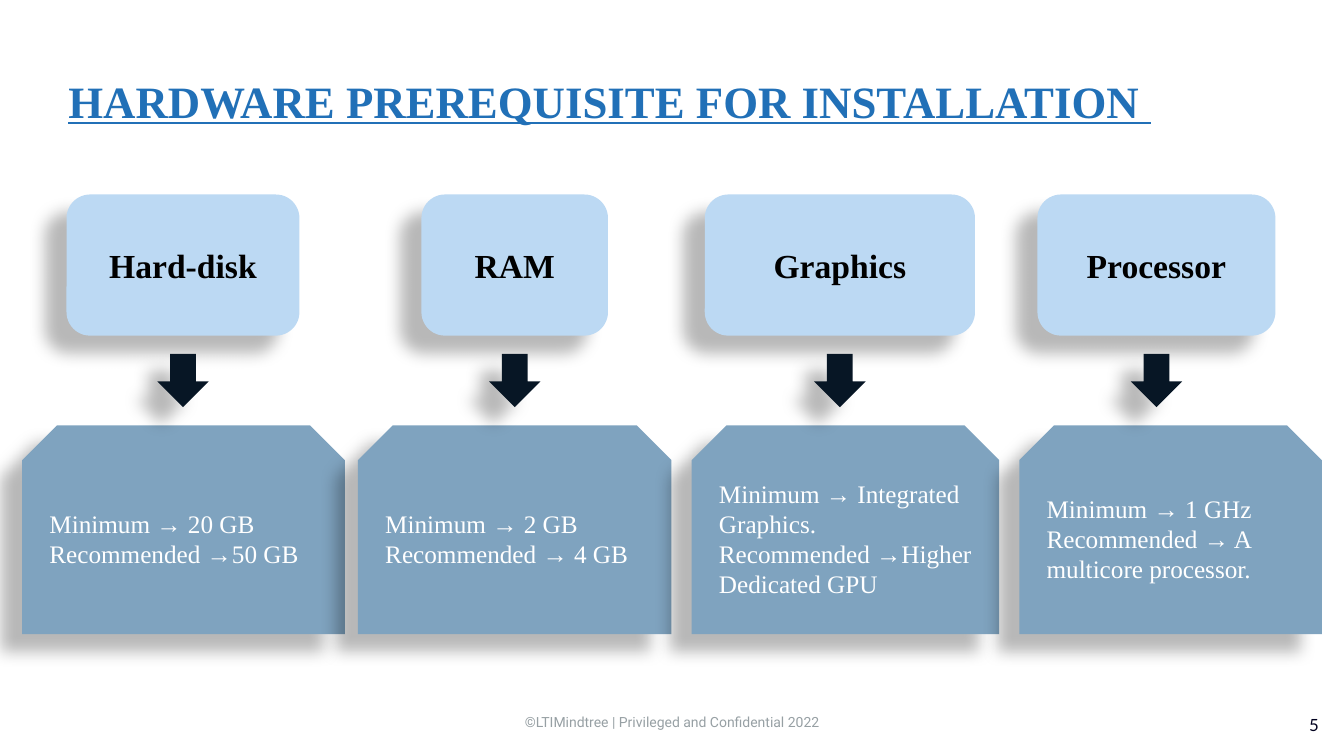
from lxml import etree
from pptx import Presentation
from pptx.dml.color import RGBColor
from pptx.enum.shapes import MSO_SHAPE
from pptx.enum.text import MSO_ANCHOR, PP_ALIGN
from pptx.oxml.ns import qn
from pptx.util import Inches, Pt

ROUNDED, SNIPPED = MSO_SHAPE.ROUNDED_RECTANGLE, MSO_SHAPE.SNIP_2_SAME_RECTANGLE
ARROW = MSO_SHAPE.DOWN_ARROW
LEFT, CENTER, RIGHT = PP_ALIGN.LEFT, PP_ALIGN.CENTER, PP_ALIGN.RIGHT
TOP, MIDDLE = MSO_ANCHOR.TOP, MSO_ANCHOR.MIDDLE

COLORS = {
    "title": "2170B7", "head": "BCD9F3", "detail": "7FA3BF", "arrow": "071625",
    "black": "000000", "white": "FFFFFF", "footer": "97A0A4", "number": "00001E",
}
SERIF = "Times New Roman"
FORMATS = {
    "title": {"size": Pt(32), "name": SERIF, "bold": True, "underline": True},
    "head": {"size": Pt(24), "name": SERIF, "bold": True},
    "detail": {"size": Pt(18), "name": SERIF},
    "footer": {"size": Pt(10), "name": "Roboto"},
    "number": {"size": Pt(12), "name": "Lato"},
}

# Rows: top and height
HEAD_ROW, ARROW_ROW, DETAIL_ROW = (1.93, 1.4), (3.51, 0.53), (4.22, 2.07)
ARROW_WIDTH = 0.51

# Component, head left and width, detail left and width, detail lines
COMPONENTS = [
    ("Hard-disk", (0.66, 2.31), (0.22, 3.2),
     ["Minimum → 20 GB", "Recommended →50 GB"]),
    ("RAM", (4.18, 1.85), (3.55, 3.11),
     ["Minimum → 2 GB", "Recommended → 4 GB"]),
    ("Graphics", (6.99, 2.68), (6.86, 3.05),
     ["Minimum → Integrated Graphics.", "Recommended →Higher Dedicated GPU"]),
    ("Processor", (10.29, 2.36), (10.11, 3),
     ["Minimum → 1 GHz", "Recommended → A multicore processor."]),
]


def color(name):
    return RGBColor.from_string(COLORS[name])


def write(s, lines, style, ink, align=LEFT, anchor=MIDDLE):
    tf = s.text_frame
    tf.word_wrap = True
    tf.vertical_anchor = anchor
    for i, line in enumerate(lines):
        p = tf.add_paragraph() if i else tf.paragraphs[0]
        p.alignment = align
        r = p.add_run()
        r.text = line
        r.font.color.rgb = color(ink)
        for name, value in FORMATS[style].items():
            setattr(r.font, name, value)


def add_text(slide, box, text, style, align=LEFT, anchor=TOP):
    s = slide.shapes.add_textbox(*map(Inches, box))
    write(s, [text], style, style, align, anchor)


def add_shadow(s):
    s.shadow.inherit = False
    effects = s._element.spPr.find(qn("a:effectLst"))
    shadow = etree.SubElement(
        effects, qn("a:outerShdw"), blurRad=str(Pt(11.8)), dist=str(Pt(19.7)),
        dir=str(141 * 60000), algn="ctr", rotWithShape="0")
    shade = etree.SubElement(shadow, qn("a:srgbClr"), val=COLORS["black"])
    etree.SubElement(shade, qn("a:alpha"), val="28000")


def add_block(slide, kind, span, row, fill):
    (left, width), (top, height) = span, row
    s = slide.shapes.add_shape(kind, *map(Inches, (left, top, width, height)))
    s.fill.solid()
    s.fill.fore_color.rgb = color(fill)
    s.line.fill.background()
    add_shadow(s)
    return s


def add_components(slide):
    # Component names
    for name, span, _, _ in COMPONENTS:
        s = add_block(slide, ROUNDED, span, HEAD_ROW, "head")
        write(s, [name], "head", "black", CENTER)
    # Requirements
    for _, _, span, lines in COMPONENTS:
        s = add_block(slide, SNIPPED, span, DETAIL_ROW, "detail")
        write(s, lines, "detail", "white")
    # Arrows, centred under the names
    for _, (left, width), _, _ in COMPONENTS:
        arrow_left = left + (width - ARROW_WIDTH) / 2
        add_block(slide, ARROW, (arrow_left, ARROW_WIDTH), ARROW_ROW, "arrow")


def add_footer(slide):
    add_text(slide, (3.33, 7.03, 6.67, 0.27),
             "©LTIMindtree | Privileged and Confidential 2022",
             "footer", CENTER, MIDDLE)
    add_text(slide, (12.27, 7.04, 0.91, 0.35), "5", "number", RIGHT)


def main():
    prs = Presentation()
    prs.slide_width, prs.slide_height = Inches(13.33), Inches(7.5)
    slide = prs.slides.add_slide(prs.slide_layouts[6])
    add_footer(slide)
    add_text(slide, (0.58, 0.68, 12.17, 0.7),
             "HARDWARE PREREQUISITE FOR INSTALLATION ", "title")
    add_components(slide)
    prs.save("out.pptx")


if __name__ == "__main__":
    main()
